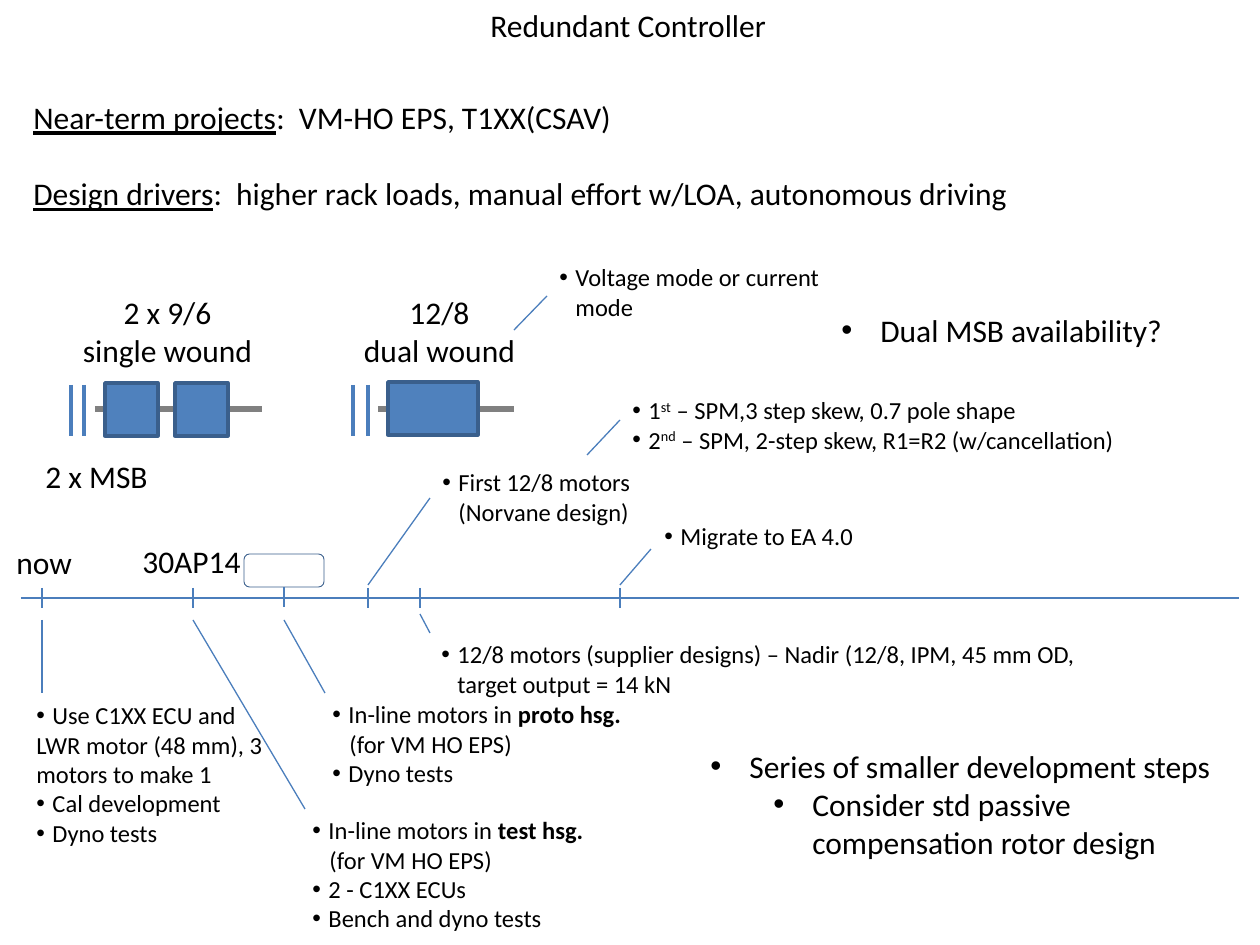
from lxml import etree
from pptx import Presentation, util as u
from pptx.dml.color import RGBColor
from pptx.enum import shapes, text
from pptx.oxml.ns import qn

PX = u.Inches(1) / 126
BLACK = RGBColor(0x00, 0x00, 0x00)
GRAY = RGBColor(0x80, 0x80, 0x80)
BLUE = RGBColor(0x4F, 0x81, 0xBD)
LINE_BLUE = RGBColor(0x4B, 0x7E, 0xBC)
EDGE_BLUE = RGBColor(0x3A, 0x5F, 0x8C)

# Paragraph kinds: left margin, hanging indent (bulleted if not 0), level
PLAIN = (0, 0, 0)
UNDER_ITEM = (17, 0, 0)
ITEM = (16, 16, 0)
TOPIC = (39, 39, 0)
SUBTOPIC = (102, 39, 1)

presentation = Presentation()
presentation.slide_width = u.Emu(round(1260 * PX))
presentation.slide_height = u.Emu(round(945 * PX))
slide = presentation.slides.add_slide(presentation.slide_layouts[6])


def add_line(x1, y1, x2, y2, color=LINE_BLUE, weight=0.75):
    ends = [u.Emu(round(n * PX)) for n in (x1, y1, x2, y2)]
    connector = slide.shapes.add_connector(shapes.MSO_CONNECTOR.STRAIGHT, *ends)
    connector.line.color.rgb = color
    connector.line.width = u.Pt(weight)
    etree.SubElement(connector._element.spPr, qn("a:effectLst"))
    return connector


def add_text(box, paragraphs, size=14, wrap=True, align=None, gap=0):
    """Add a text box; each paragraph is a kind and a list of (text, style) runs."""
    shape = slide.shapes.add_textbox(*[u.Emu(round(n * PX)) for n in box])
    frame = shape.text_frame
    frame.word_wrap = wrap
    frame.auto_size = text.MSO_AUTO_SIZE.SHAPE_TO_FIT_TEXT
    for index, ((margin, hanging, level), runs) in enumerate(paragraphs):
        paragraph = frame.paragraphs[0] if index == 0 else frame.add_paragraph()
        paragraph.level = level
        paragraph.alignment = align
        if index and gap:
            paragraph.space_before = u.Pt(gap)
        properties = paragraph._p.get_or_add_pPr()
        properties.set("marL", str(round(margin * PX)))
        properties.set("indent", str(round(-hanging * PX)))
        if hanging:
            etree.SubElement(properties, qn("a:buFont"), typeface="Arial")
            etree.SubElement(properties, qn("a:buChar"), char="•")
        paragraph.font.name = "Calibri"
        paragraph.font.size = u.Pt(size)
        paragraph.font.color.rgb = BLACK
        for words, style in runs:
            run = paragraph.add_run()
            run.text = words
            if style == "bold":
                run.font.bold = True
            elif style == "underline":
                run.font.underline = True
            elif style == "superscript":
                run._r.get_or_add_rPr().set("baseline", "30000")


# Heading and project context
add_text((478, 0, 305, 50), [(PLAIN, [("Redundant Controller", "")])], 18, wrap=False)
add_text((21, 92, 1014, 127), [
    (PLAIN, [("Near-term projects", "underline"), (":  VM-HO EPS, T1XX(CSAV)", "")]),
    (PLAIN, [("Design drivers", "underline"),
             (":  higher rack loads, manual effort w/LOA, autonomous driving", "")]),
], 18, wrap=False, gap=22)

# Motor sketches: shaft, sensor bars, motor bodies
for x1, x2 in [(95, 262), (378, 514)]:
    add_line(x1, 409, x2, 409, GRAY, 3)
for x in (71, 84, 353, 368):
    add_line(x, 385, x, 436, LINE_BLUE, 2)
bodies = [(105, 383, 53, 53), (175, 383, 53, 53), (388, 382, 90, 53)]
for body in bodies:
    motor = slide.shapes.add_shape(shapes.MSO_SHAPE.RECTANGLE,
                                   *[u.Emu(round(n * PX)) for n in body])
    motor.shadow.inherit = False
    motor.fill.solid()
    motor.fill.fore_color.rgb = BLUE
    motor.line.color.rgb = EDGE_BLUE
    motor.line.width = u.Pt(2)
for box, name, winding in [((69, 287, 197, 89), "2 x 9/6", "single wound"),
                           ((350, 287, 179, 89), "12/8", "dual wound")]:
    add_text(box, [(PLAIN, [(name, "")]), (PLAIN, [(winding, "")])], 18,
             wrap=False, align=text.PP_ALIGN.CENTER)

# Timeline with its milestones
add_line(21, 598, 1239, 598)
milestone = slide.shapes.add_shape(shapes.MSO_SHAPE.ROUNDED_RECTANGLE,
                                   *[u.Emu(round(n * PX)) for n in (244, 554, 80, 33)])
milestone.shadow.inherit = False
milestone.fill.background()
milestone.line.color.rgb = EDGE_BLUE
milestone.line.width = u.Pt(0.5)
for x in (42, 193, 368, 420, 620):
    add_line(x, 588, x, 608)
add_line(284, 587, 284, 607).begin_connect(milestone, 2)
for box, label in [((33, 451, 129, 50), "2 x MSB"),
                   ((4, 537, 82, 50), "now"),
                   ((130, 536, 125, 50), "30AP14")]:
    add_text(box, [(PLAIN, [(label, "")])], 18, wrap=False)

# Leaders to the notes
for leader in [(42, 620, 42, 693), (193, 620, 305, 809), (284, 620, 325, 693),
               (430, 498, 368, 585), (587, 455, 620, 420), (420, 614, 430, 633),
               (620, 585, 651, 549), (514, 330, 547, 296)]:
    add_line(*leader)

# Notes
add_text((24, 694, 294, 161), [
    (ITEM, [("Use C1XX ECU and", "")]),
    (PLAIN, [("LWR motor (48 mm), 3 motors to make 1", "")]),
    (ITEM, [("Cal development", "")]),
    (ITEM, [("Dyno tests", "")]),
])
for box, housing, steps in [
    ((300, 809, 320, 131), "test hsg.", ["2 - C1XX ECUs", "Bench and dyno tests"]),
    ((320, 693, 320, 102), "proto hsg.", ["Dyno tests"]),
]:
    add_text(box, [
        (ITEM, [("In-line motors in ", ""), (housing, "bold")]),
        (UNDER_ITEM, [("(for VM HO EPS)", "")]),
        *[(ITEM, [(step, "")]) for step in steps],
    ])
add_text((620, 389, 620, 72), [
    (ITEM, [("1", ""), ("st", "superscript"),
            (" – SPM,3 step skew, 0.7 pole shape", "")]),
    (ITEM, [("2", ""), ("nd", "superscript"),
            (" – SPM, 2-step skew, R1=R2 (w/cancellation)", "")]),
])
for box, note in [
    ((430, 461, 294, 72), "First 12/8 motors (Norvane design)"),
    ((429, 633, 663, 72), "12/8 motors (supplier designs) – Nadir "
                          "(12/8, IPM, 45 mm OD, target output = 14 kN"),
    ((652, 515, 294, 43), "Migrate to EA 4.0"),
    ((547, 256, 294, 72), "Voltage mode or current mode"),
]:
    add_text(box, [(ITEM, [(note, "")])])

# Open topics
add_text((829, 305, 350, 50), [(TOPIC, [("Dual MSB availability?", "")])], 18, wrap=False)
add_text((698, 741, 542, 127), [
    (TOPIC, [("Series of smaller development steps", "")]),
    (SUBTOPIC, [("Consider std passive compensation rotor design", "")]),
], 18)

presentation.save("out.pptx")
